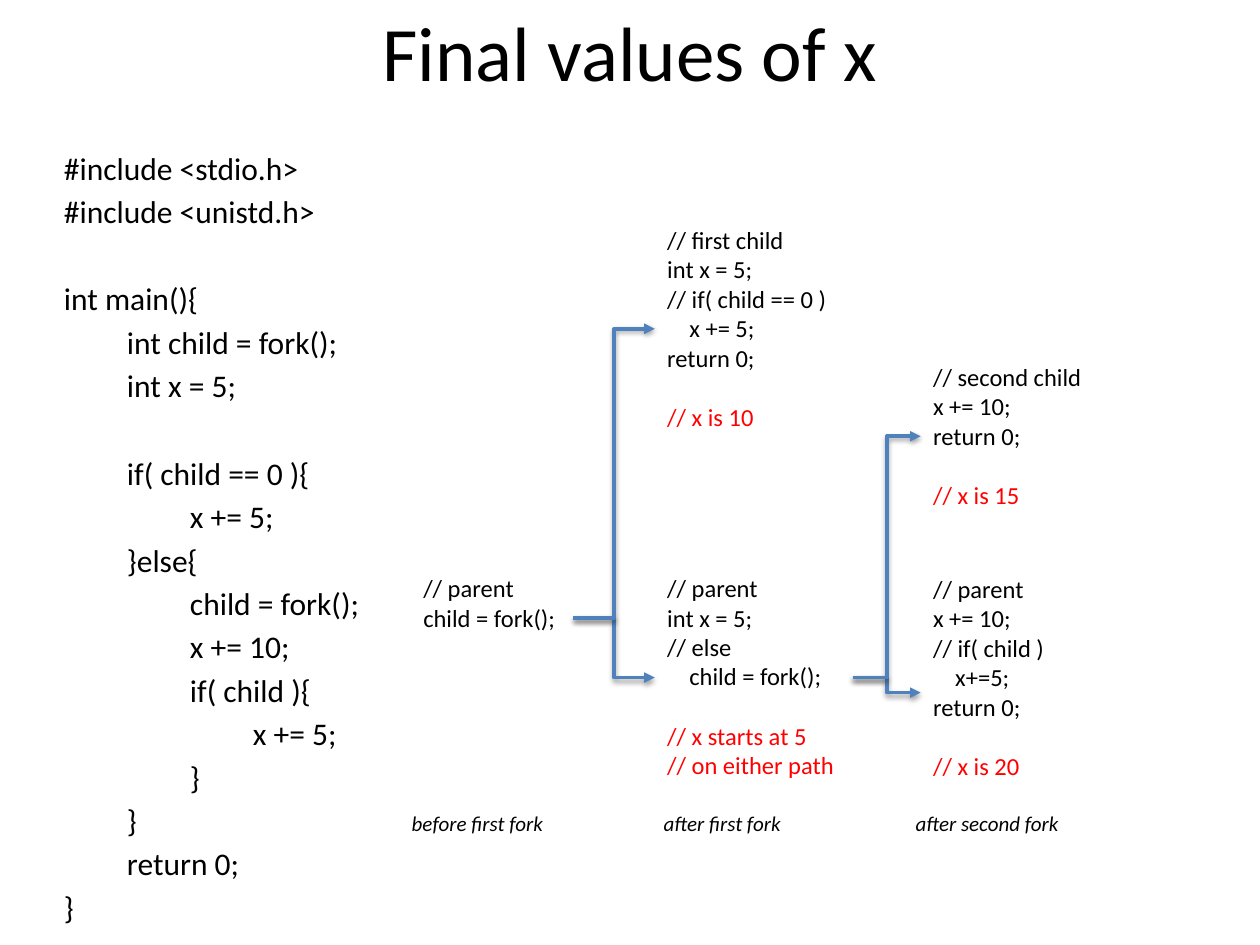
from dataclasses import dataclass

from lxml.etree import SubElement as Sub
from pptx import Presentation
from pptx.dml.color import RGBColor as Rgb
from pptx.enum.shapes import MSO_CONNECTOR as Conn
from pptx.enum.text import MSO_ANCHOR as Anchor, PP_ALIGN as Align
from pptx.oxml.ns import qn
from pptx.util import Pt


@dataclass(frozen=True)
class Theme:
    """Colours, font and type sizes of the slide."""
    font: str = "Calibri"
    ink: Rgb = Rgb(0, 0, 0)
    note: Rgb = Rgb(255, 0, 0)
    wire: Rgb = Rgb(0x4F, 0x81, 0xBD)
    head: int = 44
    code: int = 18
    step: int = 14
    foot: int = 12


theme = Theme()


def add_run(para, text, size, color=theme.ink):
    """Add one styled run to a paragraph."""
    run = para.add_run()
    run.text = text
    font = run.font
    font.name, font.size, font.color.rgb = theme.font, Pt(size), color
    return run


def add_code(box, size, tab, lead, text):
    """Write code lines; ">" indents, a blank line widens the gap, "!" is red."""
    frame = slide.shapes.add_textbox(*map(Pt, box)).text_frame
    frame.word_wrap = False
    para, gap = frame.paragraphs[0], lead
    for num, line in enumerate(text.strip().splitlines()):
        if not line:
            gap = size * 1.22 + 2 * lead
            continue
        if num:
            para = frame.add_paragraph()
        para.alignment = Align.LEFT
        para.space_before = Pt(gap)
        gap = lead
        body = line.lstrip(">")
        depth = len(line) - len(body)
        if depth:
            para._p.get_or_add_pPr().set("marL", str(Pt(depth * tab)))
        color = theme.note if body.startswith("!") else theme.ink
        add_run(para, body.lstrip("!"), size, color)


deck = Presentation()
deck.slide_width, deck.slide_height = Pt(720), Pt(540)
slide = deck.slides.add_slide(deck.slide_layouts[5])

title = slide.shapes.title
title.left, title.top, title.width, title.height = map(Pt, (36, -16, 648, 90))
title.text_frame.vertical_anchor = Anchor.MIDDLE
para = title.text_frame.paragraphs[0]
para.alignment = Align.CENTER
add_run(para, "Final values of x", theme.head)

add_code((29.5, 81.4, 185, 356.4), theme.code, 36, 3.2, """
#include <stdio.h>
#include <unistd.h>

int main(){
>int child = fork();
>int x = 5;

>if( child == 0 ){
>>x += 5;
>}else{
>>child = fork();
>>x += 10;
>>if( child ){
>>>x += 5;
>>}
>}
>return 0;
}
""")

steps = [
    ((234.8, 324, 92.2, 58.3), """
// parent
child = fork();
"""),
    ((374.2, 125, 105.8, 126), """
// first child
int x = 5;
// if( child == 0 )
>x += 5;
return 0;

!// x is 10
"""),
    ((526.1, 203.2, 105.8, 92.2), """
// second child
x += 10;
return 0;

!// x is 15
"""),
    ((526.1, 324.4, 105.8, 143.3), """
// parent
x += 10;
// if( child )
>x+=5;
return 0;

!// x is 20
"""),
    ((374.2, 324, 113, 126), """
// parent
int x = 5;
// else
>child = fork();

!// x starts at 5
!// on either path
"""),
]
for box, text in steps:
    add_code(box, theme.step, 12.66, 0, text)

forks = [((327.6, 353.3), 374.2, (387.2, 187.9)),
         ((487.4, 387.2), 526.1, (395.8, 249.3))]
for start, right, ends in forks:
    for end in ends:
        wire = slide.shapes.add_connector(
            Conn.ELBOW, *map(Pt, (*start, right, end)))
        wire.line.color.rgb = theme.wire
        wire.line.width = Pt(2)
        Sub(wire.line._get_or_add_ln(), qn("a:tailEnd"), type="triangle")
        glow = Sub(wire._element.spPr, qn("a:effectLst"))
        shade = Sub(glow, qn("a:outerShdw"), blurRad=str(Pt(3.1)),
                    dist=str(Pt(1.6)), dir="5400000", rotWithShape="0")
        black = Sub(shade, qn("a:srgbClr"), val="000000")
        Sub(black, qn("a:alpha"), val="38000")

foot = slide.shapes.add_textbox(*map(Pt, (228.2, 459.4, 419, 21.8))).text_frame
foot.word_wrap = True
para = foot.paragraphs[0]
stops = Sub(para._p.get_or_add_pPr(), qn("a:tabLst"))
for num in (1, 2):
    Sub(stops, qn("a:tab"), pos=str(Pt(144 * num)), algn="l")
label = "before first fork\tafter first fork\tafter second fork"
add_run(para, label, theme.foot).font.italic = True

deck.save("out.pptx")
